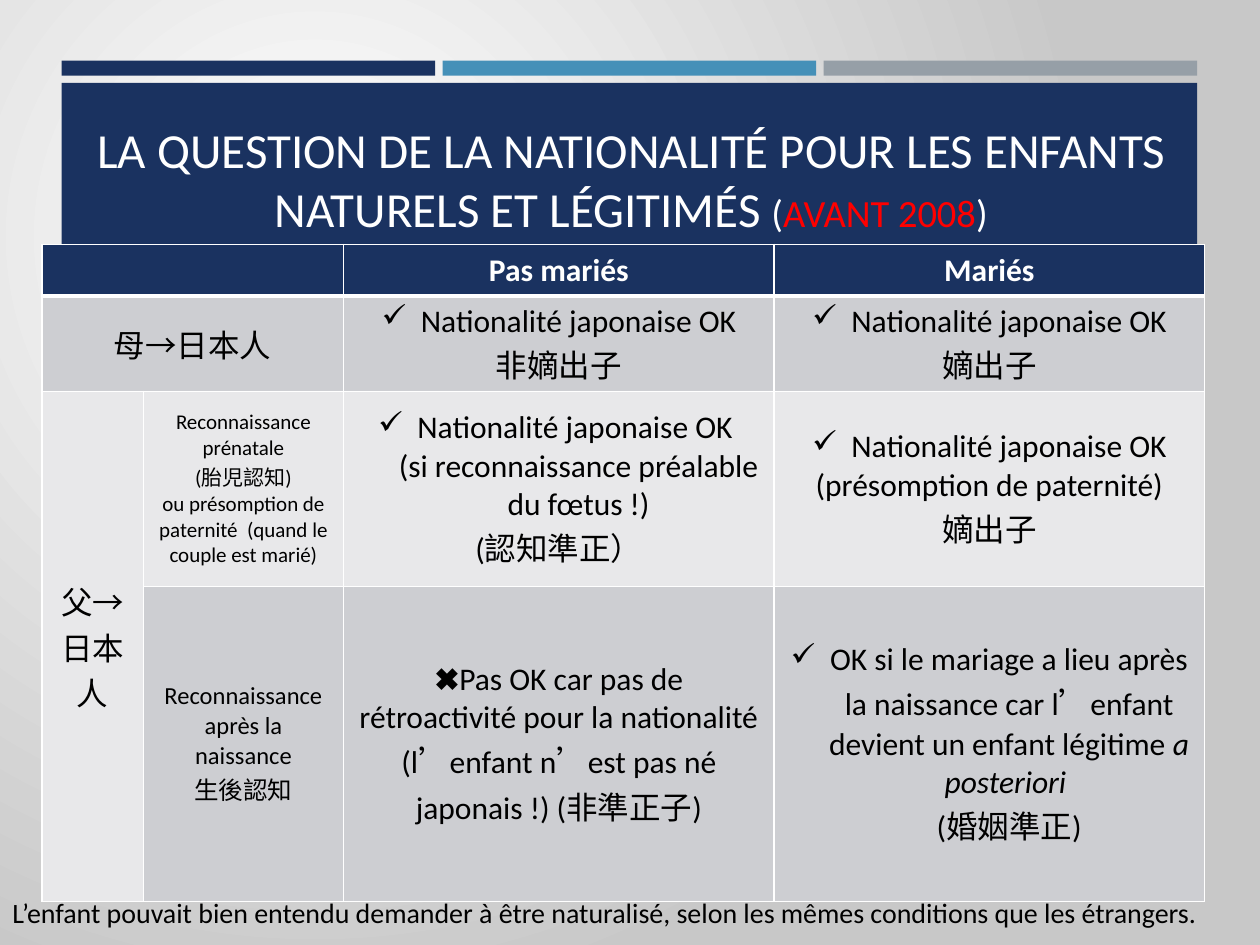
from lxml.etree import SubElement
from pptx import Presentation
from pptx.dml.color import RGBColor
from pptx.enum.shapes import MSO_SHAPE
from pptx.enum.text import MSO_ANCHOR, PP_ALIGN
from pptx.oxml import parse_xml
from pptx.oxml.ns import nsdecls, qn
from pptx.util import Pt

NAVY = RGBColor(0x1A, 0x32, 0x60)
BLUE = RGBColor(0x45, 0x90, 0xB8)
SLATE = RGBColor(0x96, 0x9F, 0xA7)
DARK_BAND = RGBColor(0xCD, 0xCE, 0xD2)
LIGHT_BAND = RGBColor(0xE8, 0xE8, 0xEA)
BACKDROP_EDGE = RGBColor(0xC8, 0xC8, 0xC8)
WHITE = RGBColor(0xFF, 0xFF, 0xFF)
BLACK = RGBColor(0, 0, 0)
RED = RGBColor(0xFF, 0, 0)

CHECK = "✓ "
JAPANESE_OK = CHECK + "Nationalité japonaise OK"


def write(frame, paragraphs, align=PP_ALIGN.CENTER, **style):
    """Fill a text frame; a paragraph is a string or a list of (text, style changes).

    A paragraph that opens with CHECK becomes a bullet; a newline is a line break.
    """
    for index, content in enumerate(paragraphs):
        paragraph = frame.paragraphs[0] if index == 0 else frame.add_paragraph()
        paragraph.alignment = align
        pieces = [(content, {})] if isinstance(content, str) else content
        if pieces[0][0].startswith(CHECK):
            add_check_bullet(paragraph)
            pieces = [(pieces[0][0].removeprefix(CHECK), pieces[0][1]), *pieces[1:]]
        for text, changes in pieces:
            for number, line in enumerate(text.split("\n")):
                if number:
                    paragraph.add_line_break()
                if line:
                    add_run(paragraph, line, **{**style, **changes})


def add_run(paragraph, text, size=18, color=BLACK, bold=False, italic=False):
    run = paragraph.add_run()
    run.text = text
    run.font.name = Style.font
    run.font.size = Pt(size)
    run.font.color.rgb = color
    run.font.bold = bold
    run.font.italic = italic


def add_check_bullet(paragraph):
    properties = paragraph._p.get_or_add_pPr()
    properties.set("marL", str(Pt(22.5)))
    properties.set("indent", str(-Pt(22.5)))
    SubElement(properties, qn("a:buChar")).set("char", CHECK.strip())


class Style:
    font = "Calibri"

    def __init__(self, slide):
        self.slide = slide

    def backdrop(self, center, edge):
        fill = self.slide.background.fill
        fill.gradient()
        for stop, color, position in zip(fill.gradient_stops, (center, edge), (0, 1)):
            stop.color.rgb = color
            stop.position = position
        gradient = self.slide._element.find(".//" + qn("a:gradFill"))
        gradient.replace(gradient.find(qn("a:lin")), parse_xml(
            f'<a:path {nsdecls("a")} path="circle">'
            '<a:fillToRect l="50000" t="50000" r="100000" b="100000"/></a:path>'))

    def bar(self, left, top, width, height, color):
        bar = self.slide.shapes.add_shape(
            MSO_SHAPE.RECTANGLE, Pt(left), Pt(top), Pt(width), Pt(height))
        bar.shadow.inherit = False
        bar.fill.solid()
        bar.fill.fore_color.rgb = color
        bar.line.fill.background()

    def text(self, left, top, width, height, paragraphs, anchor=MSO_ANCHOR.TOP, **style):
        frame = self.slide.shapes.add_textbox(
            Pt(left), Pt(top), Pt(width), Pt(height)).text_frame
        frame.word_wrap = True
        frame.vertical_anchor = anchor
        write(frame, paragraphs, **style)

    def table(self, left, top, widths, heights):
        table = self.slide.shapes.add_table(
            len(heights), len(widths), Pt(left), Pt(top),
            Pt(sum(widths)), Pt(sum(heights))).table
        for column, width in zip(table.columns, widths):
            column.width = Pt(width)
        for row, height in zip(table.rows, heights):
            row.height = Pt(height)
        return table

    def cell(self, cell, fill, paragraphs=(), bottom=1, **style):
        cell.fill.solid()
        cell.fill.fore_color.rgb = fill
        cell.vertical_anchor = MSO_ANCHOR.MIDDLE
        write(cell.text_frame, paragraphs, **style)
        for place, (side, weight) in enumerate(zip("LRTB", (1, 1, 1, bottom))):
            cell._tc.get_or_add_tcPr().insert(place, parse_xml(
                f'<a:ln{side} {nsdecls("a")} w="{Pt(weight)}"><a:solidFill>'
                f'<a:srgbClr val="{WHITE}"/></a:solidFill></a:ln{side}>'))


def add_nationality_table(style):
    table = style.table(23.9, 139.7, (58, 114.5, 246, 246), (29.5, 54.5, 111.6, 180))
    table.cell(0, 0).merge(table.cell(0, 1))
    table.cell(1, 0).merge(table.cell(1, 1))
    table.cell(2, 0).merge(table.cell(3, 0))

    rows = [
        [[], None, ["Pas mariés"], ["Mariés"]],
        [["母→日本人"], None, [JAPANESE_OK, "非嫡出子"], [JAPANESE_OK, "嫡出子"]],
        [["父→日本人"],
         ["Reconnaissance prénatale", "(胎児認知)",
          "ou présomption de paternité  (quand le couple est marié)"],
         [JAPANESE_OK + " \n(si reconnaissance préalable du fœtus !)", "(認知準正）"],
         [JAPANESE_OK, "(présomption de paternité)", "嫡出子"]],
        [None,
         ["Reconnaissance après la naissance", "生後認知"],
         ["✖Pas OK car pas de rétroactivité pour la nationalité "
          "(l’enfant n’est pas né japonais !) (非準正子)"],
         [[(CHECK + "OK si le mariage a lieu après la naissance car l’enfant "
            "devient un enfant légitime ", {}),
           ("a posteriori \n", {"italic": True}), ("(婚姻準正)", {})]]],
    ]
    bands = (NAVY, DARK_BAND, LIGHT_BAND, DARK_BAND)
    recognition_sizes = {(2, 1): 12, (3, 1): 14}
    for r, (row, band) in enumerate(zip(rows, bands)):
        header = {"color": WHITE, "bold": True, "bottom": 3} if r == 0 else {}
        for c, paragraphs in enumerate(row):
            fill = LIGHT_BAND if (r, c) == (3, 0) else band
            style.cell(table.cell(r, c), fill, paragraphs or (),
                       size=recognition_sizes.get((r, c), 18), **header)
    table.cell(2, 0)._tc.get_or_add_tcPr().set("vert", "eaVert")


def main():
    presentation = Presentation()
    presentation.slide_width, presentation.slide_height = Pt(720), Pt(540)
    style = Style(presentation.slides.add_slide(presentation.slide_layouts[6]))

    style.backdrop(WHITE, BACKDROP_EDGE)
    for index, color in enumerate((NAVY, BLUE, SLATE)):
        style.bar(35.3 + index * 217.7, 34.7, 213.4, 8.5, color)
    style.bar(35.3, 47.3, 648.8, 99.4, NAVY)
    style.text(46.1, 54, 629.3, 85, [[
        ("LA QUESTION DE LA NATIONALITÉ POUR LES ENFANTS NATURELS ET LÉGITIMÉS ", {}),
        ("(", {"size": 22}),
        ("AVANT 2008", {"size": 22, "color": RED}),
        (")", {"size": 22}),
    ]], anchor=MSO_ANCHOR.BOTTOM, size=28, color=WHITE)
    add_nationality_table(style)
    style.text(0, 508.3, 720, 26.6, [
        "L’enfant pouvait bien entendu demander à être naturalisé, "
        "selon les mêmes conditions que les étrangers.",
    ], align=PP_ALIGN.LEFT, size=16)
    presentation.save("out.pptx")


if __name__ == "__main__":
    main()
